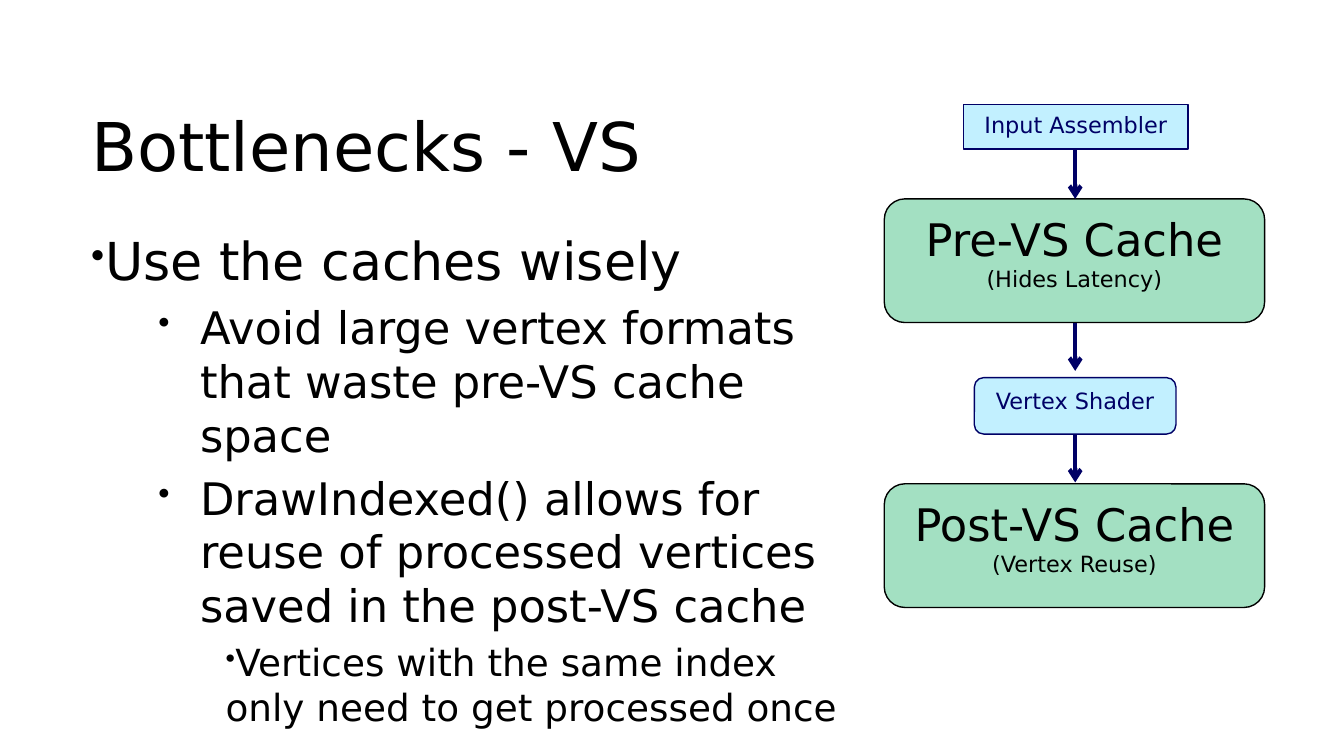
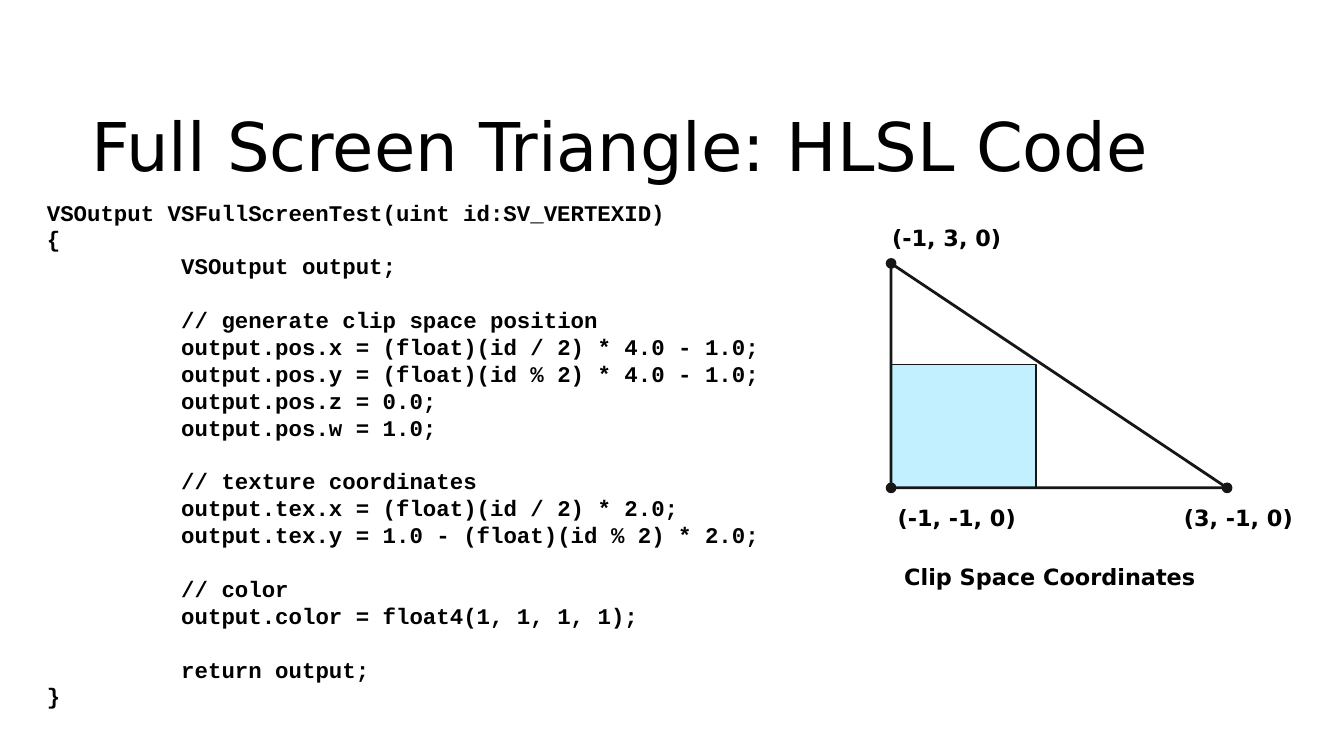
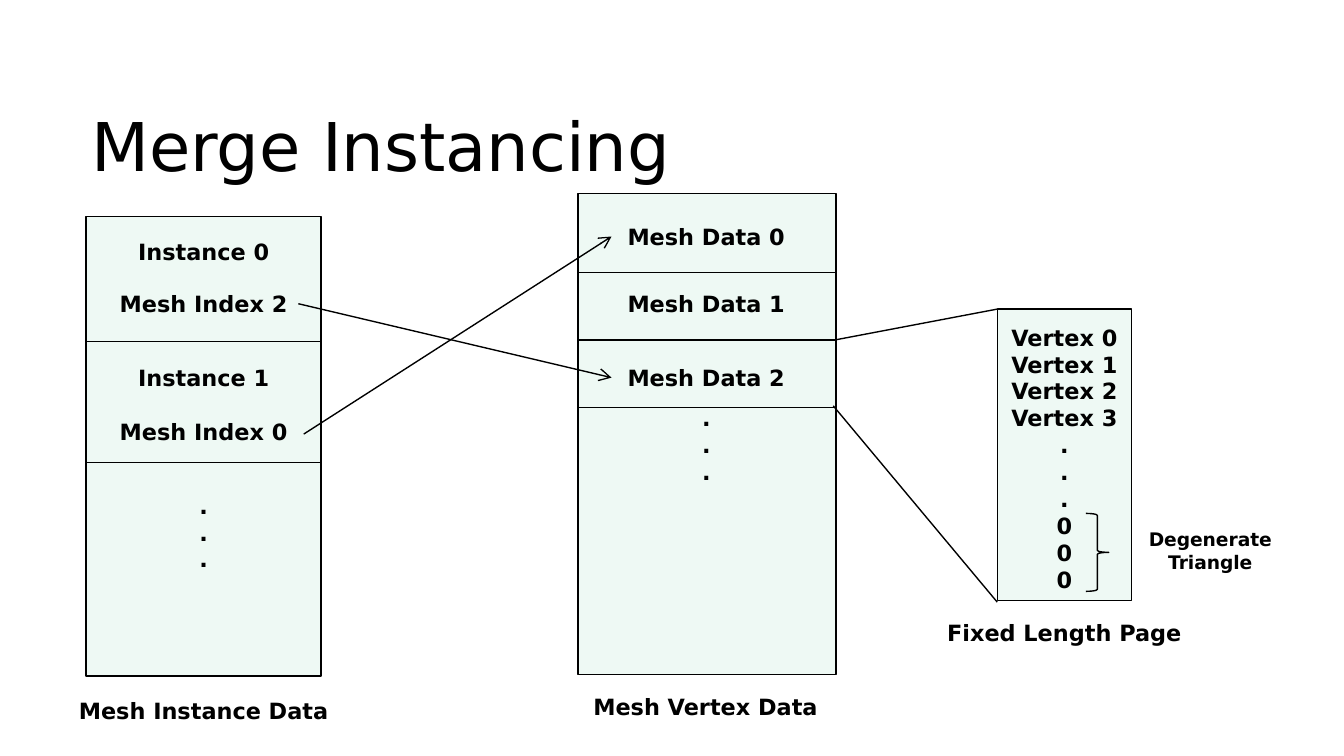
from lxml import etree
from pptx import Presentation
from pptx.dml.color import RGBColor
from pptx.enum.shapes import MSO_CONNECTOR, MSO_SHAPE
from pptx.enum.text import MSO_ANCHOR, PP_ALIGN
from pptx.oxml.ns import qn
from pptx.util import Inches, Pt

LEFT, CENTER = PP_ALIGN.LEFT, PP_ALIGN.CENTER
TOP = MSO_ANCHOR.TOP
STRAIGHT = MSO_CONNECTOR.STRAIGHT
RECTANGLE, ROUNDED = MSO_SHAPE.RECTANGLE, MSO_SHAPE.ROUNDED_RECTANGLE
TRIANGLE, OVAL, BRACE = MSO_SHAPE.ISOSCELES_TRIANGLE, MSO_SHAPE.OVAL, MSO_SHAPE.RIGHT_BRACE

BLACK, NAVY, INK = "000000", "000066", "161616"
SKY, GREEN, MINT = "C2F0FF", "A3E0C2", "EEF9F4"
SANS, MONO = "DejaVu Sans", "Courier New"
LINE_HEIGHT = 1.2
BLANK_LINE = 12 * LINE_HEIGHT

# Level: (font size, left margin, first-line indent)
BULLET_LEVELS = [(28, 0, -0.3), (24, 0.81, -0.31), (20, 1, 0)]

CODE = """VSOutput VSFullScreenTest(uint id:SV_VERTEXID)
{
\tVSOutput output;

\t// generate clip space position
\toutput.pos.x = (float)(id / 2) * 4.0 - 1.0;
\toutput.pos.y = (float)(id % 2) * 4.0 - 1.0;
\toutput.pos.z = 0.0;
\toutput.pos.w = 1.0;

\t// texture coordinates
\toutput.tex.x = (float)(id / 2) * 2.0;
\toutput.tex.y = 1.0 - (float)(id % 2) * 2.0;

\t// color
\toutput.color = float4(1, 1, 1, 1);

\treturn output;
}"""


def color(value):
    return RGBColor.from_string(value)


def write(frame, text, size=12, font=SANS, text_color=BLACK, bold=False,
          align=LEFT, before=0, indent=0, first_line=0, side=0.1):
    """Add one paragraph, using the frame's empty first paragraph if there is one."""
    frame.word_wrap = True
    frame.vertical_anchor = TOP
    frame.margin_left = frame.margin_right = Inches(side)
    frame.margin_top = frame.margin_bottom = Inches(0.05)
    paragraph = frame.paragraphs[0]
    if paragraph.runs:
        paragraph = frame.add_paragraph()
    paragraph.alignment = align
    paragraph.line_spacing = Pt(size * LINE_HEIGHT)
    paragraph.space_before = Pt(before)
    properties = paragraph._p.get_or_add_pPr()
    properties.set("marL", str(Inches(indent)))
    properties.set("indent", str(Inches(first_line)))
    run = paragraph.add_run()
    run.text = text
    run.font.size = Pt(size)
    run.font.name = font
    run.font.bold = bold
    run.font.color.rgb = color(text_color)
    return paragraph


def add_frame(slide, left, top, width, height):
    box = slide.shapes.add_textbox(Inches(left), Inches(top), Inches(width), Inches(height))
    return box.text_frame


def add_title(slide, text):
    write(add_frame(slide, 0.58, 0.73, 8.83, 0.85), text, size=36)


def add_label(slide, left, top, width, lines, height=0.3, gap=0, size=12, align=CENTER):
    """Add bold lines of text, with a gap in points between them."""
    frame = add_frame(slide, left, top, width, height)
    side = 0.05 if align == CENTER else 0.1
    for index, line in enumerate(lines):
        write(frame, line, size=size, bold=True, align=align,
              before=gap if index else 0, side=side)


def add_bullets(slide, items):
    frame = add_frame(slide, 0.58, 1.65, 5.75, 3.58)
    for index, (level, text) in enumerate(items):
        size, indent, first_line = BULLET_LEVELS[level]
        paragraph = write(frame, text, size=size, before=0.2 * size if index else 0,
                          indent=indent, first_line=first_line)
        paragraph.level = level
        properties = paragraph._p.get_or_add_pPr()
        bullet_color = etree.SubElement(properties, qn("a:buClr"))
        etree.SubElement(bullet_color, qn("a:srgbClr"), val=BLACK)
        etree.SubElement(properties, qn("a:buSzPct"), val="75000")
        etree.SubElement(properties, qn("a:buChar"), char="•")


def add_shape(slide, kind, left, top, width, height, fill=None, line=BLACK, weight=0.75):
    shape = slide.shapes.add_shape(kind, Inches(left), Inches(top), Inches(width), Inches(height))
    shape.shadow.inherit = False
    if fill:
        shape.fill.solid()
        shape.fill.fore_color.rgb = color(fill)
    else:
        shape.fill.background()
    if line:
        shape.line.color.rgb = color(line)
        shape.line.width = Pt(weight)
    else:
        shape.line.fill.background()
    return shape


def add_line(slide, start, end, line=BLACK, weight=0.75, arrow=False):
    connector = slide.shapes.add_connector(STRAIGHT, *map(Inches, start + end))
    connector.line.color.rgb = color(line)
    connector.line.width = Pt(weight)
    if arrow:
        etree.SubElement(connector.line._get_or_add_ln(), qn("a:tailEnd"), type="arrow")
    etree.SubElement(connector._element.spPr, qn("a:effectLst"))


def add_stage(slide, kind, left, top, width, height, text):
    shape = add_shape(slide, kind, left, top, width, height, SKY, NAVY)
    write(shape.text_frame, text, text_color=NAVY, align=CENTER)


def add_cache(slide, top, name, purpose):
    shape = add_shape(slide, ROUNDED, 6.58, top, 2.83, 0.92, GREEN)
    write(shape.text_frame, name, size=24, align=CENTER)
    write(shape.text_frame, purpose, align=CENTER)


def add_code(slide, code):
    """Write code, turning tabs into indents and empty lines into spacing."""
    frame = add_frame(slide, 0.25, 1.43, 6.92, 3.94)
    before = 0
    for line in code.splitlines():
        if not line:
            before = BLANK_LINE
            continue
        write(frame, line.strip(), font=MONO, bold=True, before=before,
              indent=line.count("\t"))
        before = 0


def add_panel(slide, left, top, width, height, dividers=()):
    add_shape(slide, RECTANGLE, left, top, width, height, MINT)
    for y in dividers:
        add_line(slide, (left, y), (left + width, y))


def build_bottlenecks(slide):
    add_title(slide, "Bottlenecks - VS")
    add_bullets(slide, [
        (0, "Use the caches wisely"),
        (1, "Avoid large vertex formats that waste pre-VS cache space"),
        (1, "DrawIndexed() allows for reuse of processed vertices saved in the post-VS cache"),
        (2, "Vertices with the same index only need to get processed once"),
    ])
    add_stage(slide, RECTANGLE, 7.17, 0.78, 1.67, 0.33, "Input Assembler")
    add_cache(slide, 1.48, "Pre-VS Cache", "(Hides Latency)")
    add_stage(slide, ROUNDED, 7.25, 2.81, 1.5, 0.42, "Vertex Shader")
    add_cache(slide, 3.6, "Post-VS Cache", "(Vertex Reuse)")
    for top, bottom in [(1.11, 1.48), (2.4, 2.76), (3.23, 3.59)]:
        add_line(slide, (8, top), (8, bottom), NAVY, 2.25, arrow=True)


def build_triangle(slide):
    add_title(slide, "Full Screen Triangle: HLSL Code")
    add_code(slide, CODE)
    left, top, width, height = 6.63, 1.96, 2.5, 1.67
    right, bottom = left + width, top + height
    add_shape(slide, RECTANGLE, left, 2.71, 1.08, 0.92, SKY, INK)
    triangle = add_shape(slide, TRIANGLE, left, top, width, height, line=INK, weight=1.5)
    triangle.adjustments[0] = 0
    dot = 0.08
    for x, y in [(right, bottom), (left, bottom), (left, top)]:
        add_shape(slide, OVAL, x - dot / 2, y - dot / 2, dot, dot, INK, None)
    for x, y, box_width, text in [
        (6.63, 4.14, 2.5, "Clip Space Coordinates"),
        (6.58, 3.7, 1.29, "(-1, -1, 0)"),
        (6.54, 1.62, 1.17, "(-1, 3, 0)"),
        (8.71, 3.7, 1.29, "(3, -1, 0)"),
    ]:
        add_label(slide, x, y, box_width, [text], align=LEFT)


def build_instancing(slide):
    add_title(slide, "Merge Instancing")
    dots = ["."] * 3

    add_panel(slide, 4.3, 1.44, 1.92, 3.58, [2.03, 2.53, 3.03])
    for index, top in enumerate([1.61, 2.11, 2.66]):
        add_label(slide, 4.34, top, 1.83, [f"Mesh Data {index}"])
    add_label(slide, 4.34, 2.96, 1.83, dots, height=0.71)
    add_label(slide, 4.27, 5.11, 1.96, ["Mesh Vertex Data"])

    add_panel(slide, 0.64, 1.61, 1.75, 3.42, [2.54, 3.44])
    add_label(slide, 0.64, 1.72, 1.75, ["Instance 0"])
    add_label(slide, 0.64, 2.11, 1.75, ["Mesh Index 2"])
    add_label(slide, 0.64, 2.66, 1.75, ["Instance 1", "Mesh Index 0"], height=0.71,
              gap=BLANK_LINE)
    add_label(slide, 0.64, 3.61, 1.75, dots, height=0.71)
    add_label(slide, 0.42, 5.14, 2.19, ["Mesh Instance Data"])

    add_line(slide, (2.22, 2.26), (4.55, 2.81), arrow=True)
    add_line(slide, (2.26, 3.23), (4.55, 1.76), arrow=True)
    add_line(slide, (6.21, 2.53), (7.42, 2.3))
    add_line(slide, (6.2, 3.02), (7.42, 4.48))

    add_panel(slide, 7.42, 2.3, 1, 2.17)
    add_shape(slide, BRACE, 8.08, 3.82, 0.17, 0.58)
    add_label(slide, 8.42, 3.88, 1.17, ["Degenerate Triangle"], height=0.44, size=10)
    vertices = [f"Vertex {index}" for index in range(4)]
    add_label(slide, 7.42, 2.36, 1, vertices + dots + ["0"] * 3, height=2.12)
    add_label(slide, 6.94, 4.56, 1.96, ["Fixed Length Page"])


def main():
    presentation = Presentation()
    presentation.slide_width = Inches(10)
    presentation.slide_height = Inches(10) * 9 // 16
    blank = presentation.slide_layouts[6]
    for build in (build_bottlenecks, build_triangle, build_instancing):
        build(presentation.slides.add_slide(blank))
    presentation.save("out.pptx")


if __name__ == "__main__":
    main()
